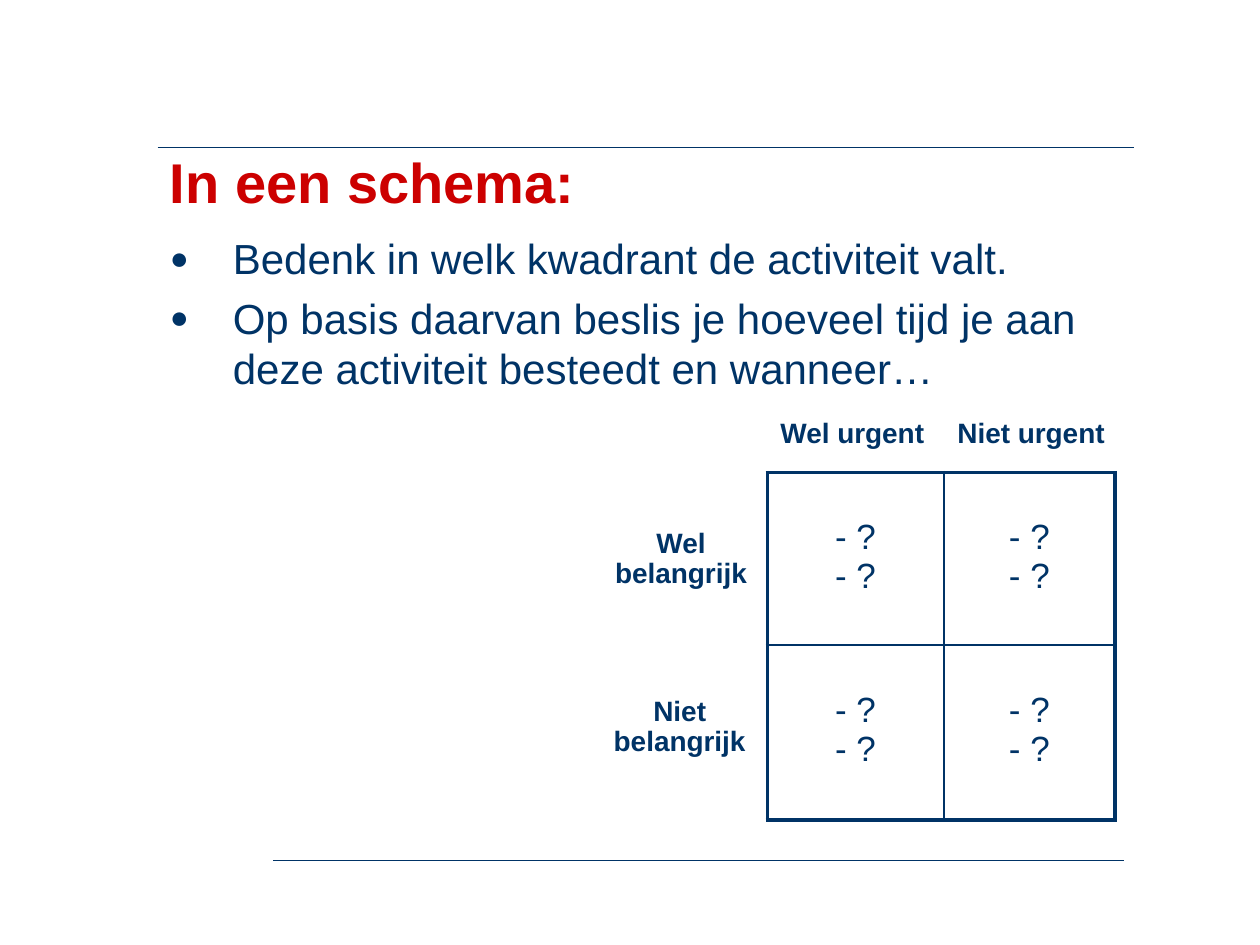
from pptx import Presentation
from pptx.dml.color import RGBColor
from pptx.enum.shapes import MSO_CONNECTOR
from pptx.enum.text import MSO_ANCHOR, PP_ALIGN
from pptx.oxml.ns import qn
from pptx.util import Inches, Pt
from lxml import etree

STRAIGHT = MSO_CONNECTOR.STRAIGHT
TOP, BOTTOM = MSO_ANCHOR.TOP, MSO_ANCHOR.BOTTOM
LEFT, CENTER = PP_ALIGN.LEFT, PP_ALIGN.CENTER

FONT = "Arial"
COLORS = {"navy": "003366", "red": "CC0000"}
OUTER_BORDER, INNER_BORDER = 2.25, 1


def format_paragraph(paragraph, size, color="navy", bold=False, align=LEFT):
    paragraph.alignment = align
    for run in paragraph.runs:
        run.font.name = FONT
        run.font.size = Pt(size)
        run.font.bold = bold
        run.font.color.rgb = RGBColor.from_string(COLORS[color])


def add_text(slide, box, text, anchor=TOP):
    shape = slide.shapes.add_textbox(*map(Inches, box))
    text_frame = shape.text_frame
    text_frame.word_wrap = True
    text_frame.vertical_anchor = anchor
    text_frame.text = text
    return text_frame


def add_heading(slide, box, text, size=16, color="navy", align=CENTER):
    text_frame = add_text(slide, box, text, BOTTOM)
    paragraph = text_frame.paragraphs[0]
    paragraph.line_spacing = 0.9
    format_paragraph(paragraph, size, color, True, align)


def add_bullets(slide, box, items):
    text_frame = add_text(slide, box, "\n".join(items))
    for paragraph in text_frame.paragraphs:
        format_paragraph(paragraph, 24)
        paragraph.space_before = Pt(5)
        properties = paragraph._p.get_or_add_pPr()
        properties.set("marL", str(Inches(0.5)))
        properties.set("indent", str(Inches(-0.5)))
        bullet_color = etree.SubElement(properties, qn("a:buClr"))
        etree.SubElement(bullet_color, qn("a:srgbClr"), val=COLORS["navy"])
        etree.SubElement(properties, qn("a:buSzPct"), val="75000")
        etree.SubElement(properties, qn("a:buFont"), typeface=FONT)
        etree.SubElement(properties, qn("a:buChar"), char="●")


def add_rule(slide, left, right, top):
    line = slide.shapes.add_connector(
        STRAIGHT, Inches(left), Inches(top), Inches(right), Inches(top))
    line.line.color.rgb = RGBColor.from_string(COLORS["navy"])
    line.line.width = Pt(0.75)
    etree.SubElement(line._element.spPr, qn("a:effectLst"))


def set_border(cell, side, width):
    properties = cell._tc.get_or_add_tcPr()
    border = etree.SubElement(properties, qn(f"a:ln{side}"), w=str(Pt(width)))
    fill = etree.SubElement(border, qn("a:solidFill"))
    etree.SubElement(fill, qn("a:srgbClr"), val=COLORS["navy"])


def add_quadrants(slide, left, top, widths, heights):
    frame = slide.shapes.add_table(
        len(heights), len(widths), Inches(left), Inches(top),
        Inches(sum(widths)), Inches(sum(heights)))
    table = frame.table
    table.first_row = table.horz_banding = False
    for column, width in zip(table.columns, widths):
        column.width = Inches(width)
    for row, height in zip(table.rows, heights):
        row.height = Inches(height)

    last_row, last_column = len(heights) - 1, len(widths) - 1
    for row in range(len(heights)):
        for column in range(len(widths)):
            cell = table.cell(row, column)
            cell.text = "- ?\n- ?"
            cell.margin_top = Inches(0.36)
            for paragraph in cell.text_frame.paragraphs:
                format_paragraph(paragraph, 20, align=CENTER)
            # Thick outer frame, thin inner dividers
            outer_sides = {"L": column == 0, "R": column == last_column,
                           "T": row == 0, "B": row == last_row}
            for side, is_outer in outer_sides.items():
                set_border(cell, side, OUTER_BORDER if is_outer else INNER_BORDER)
            cell.fill.background()


def main():
    presentation = Presentation()
    presentation.slide_width = Inches(10)
    presentation.slide_height = Inches(7.5)
    slide = presentation.slides.add_slide(presentation.slide_layouts[6])

    # Rules above and below the content
    add_rule(slide, 1.25, 9, 1.17)
    add_rule(slide, 2.17, 8.92, 6.83)

    # Quadrants with row and column labels
    add_quadrants(slide, 6.09, 3.75, [1.4, 1.36], [1.37, 1.39])
    add_heading(slide, (4.61, 5.47, 1.57, 0.59), "Niet belangrijk")
    add_heading(slide, (4.61, 4.14, 1.59, 0.59), "Wel belangrijk")
    add_heading(slide, (5.78, 3.28, 1.97, 0.34), "Wel urgent")
    add_heading(slide, (7.5, 3.28, 1.71, 0.34), "Niet urgent", align=LEFT)

    # Title and explanation
    add_heading(slide, (1.25, 1.17, 8.27, 0.59), "In een schema:", 32, "red", LEFT)
    add_bullets(slide, (1.25, 1.8, 8.17, 4.5), [
        "Bedenk in welk kwadrant de activiteit valt.",
        "Op basis daarvan beslis je hoeveel tijd je aan deze activiteit "
        "besteedt en wanneer…",
    ])

    presentation.save("out.pptx")


main()
